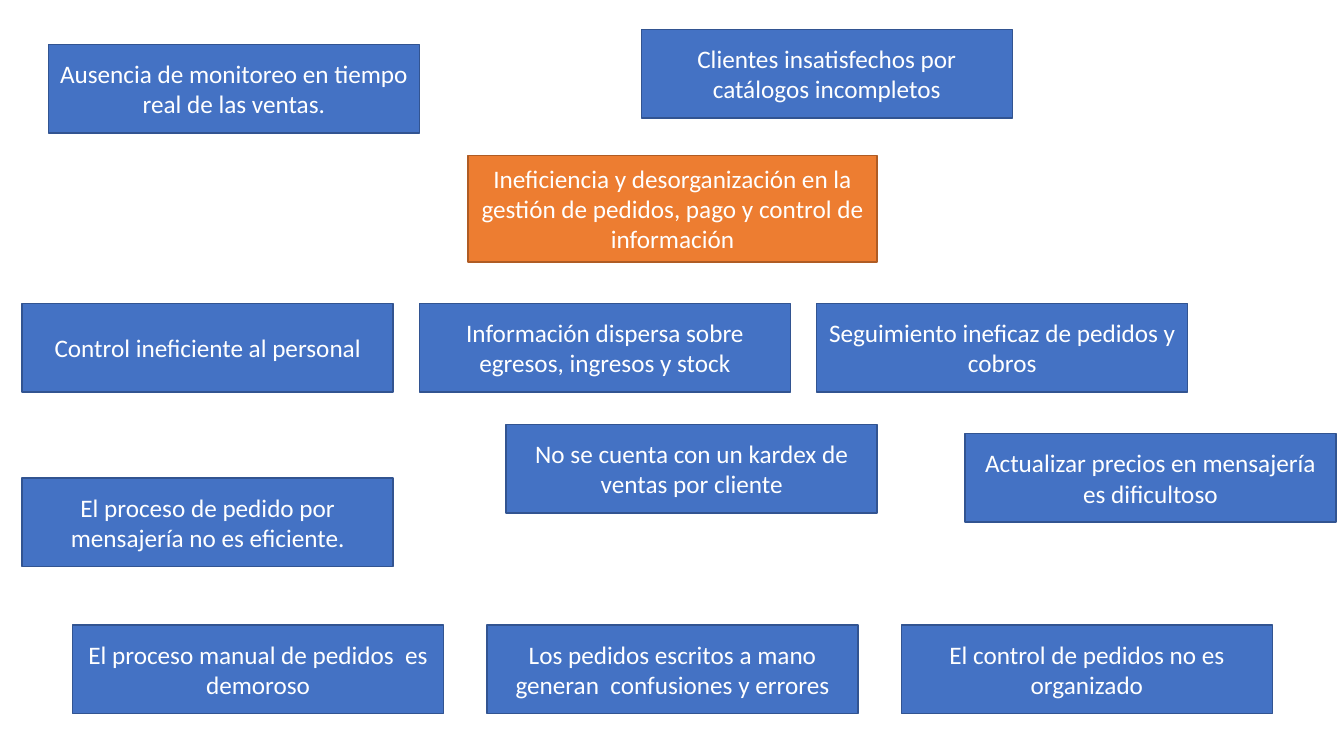
from pptx import Presentation
from pptx.dml.color import RGBColor
from pptx.enum.shapes import MSO_SHAPE
from pptx.enum.text import MSO_ANCHOR, PP_ALIGN
from pptx.util import Inches, Pt

BLUE = RGBColor(0x44, 0x72, 0xC4)
DARK_BLUE = RGBColor(0x32, 0x54, 0x91)
ORANGE = RGBColor(0xED, 0x7D, 0x31)
DARK_ORANGE = RGBColor(0xAF, 0x5C, 0x24)
WHITE = RGBColor(0xFF, 0xFF, 0xFF)


class ProblemMap:
    font = "Calibri"
    size = Pt(18)
    card_w, card_h = 3.68, 0.88

    def __init__(self, slide):
        self.s = slide

    def box(self, text, x, y, w, h, fill, line):
        sp = self.s.shapes.add_shape(
            MSO_SHAPE.RECTANGLE, Inches(x), Inches(y), Inches(w), Inches(h))
        sp.shadow.inherit = False
        sp.fill.solid()
        sp.fill.fore_color.rgb = fill
        sp.line.color.rgb = line
        sp.line.width = Pt(1)
        tf = sp.text_frame
        tf.word_wrap = True
        tf.vertical_anchor = MSO_ANCHOR.MIDDLE
        tf.text = text
        p = tf.paragraphs[0]
        p.alignment = PP_ALIGN.CENTER
        font = p.runs[0].font
        font.name, font.size, font.color.rgb = self.font, self.size, WHITE

    def card(self, text, x, y):
        self.box(text, x, y, self.card_w, self.card_h, BLUE, DARK_BLUE)

    def row(self, texts, x, y, step):
        for i, text in enumerate(texts):
            self.card(text, x + i * step, y)


def main():
    prs = Presentation()
    prs.slide_width, prs.slide_height = Inches(13.33), Inches(7.5)
    problems = ProblemMap(prs.slides.add_slide(prs.slide_layouts[6]))

    # Effects
    problems.card("Ausencia de monitoreo en tiempo real de las ventas.", 0.48, 0.44)
    problems.card("Clientes insatisfechos por catálogos incompletos", 6.36, 0.29)

    # Central problem
    problems.box("Ineficiencia y desorganización en la gestión de pedidos, "
                 "pago y control de información",
                 4.64, 1.54, 4.06, 1.06, ORANGE, DARK_ORANGE)

    # Direct causes
    problems.row(["Control ineficiente al personal",
                  "Información dispersa sobre egresos, ingresos y stock",
                  "Seguimiento ineficaz de pedidos y cobros"], 0.22, 3.01, 3.94)

    # Loose causes
    problems.card("El proceso de pedido por mensajería no es eficiente.", 0.22, 4.74)
    problems.card("No se cuenta con un kardex de ventas por cliente", 5.02, 4.21)
    problems.card("Actualizar precios en mensajería es dificultoso", 9.57, 4.3)

    # Root causes
    problems.row(["El proceso manual de pedidos  es demoroso",
                  "Los pedidos escritos a mano generan  confusiones y errores",
                  "El control de pedidos no es organizado"], 0.72, 6.2, 4.11)

    prs.save("out.pptx")


if __name__ == "__main__":
    main()
